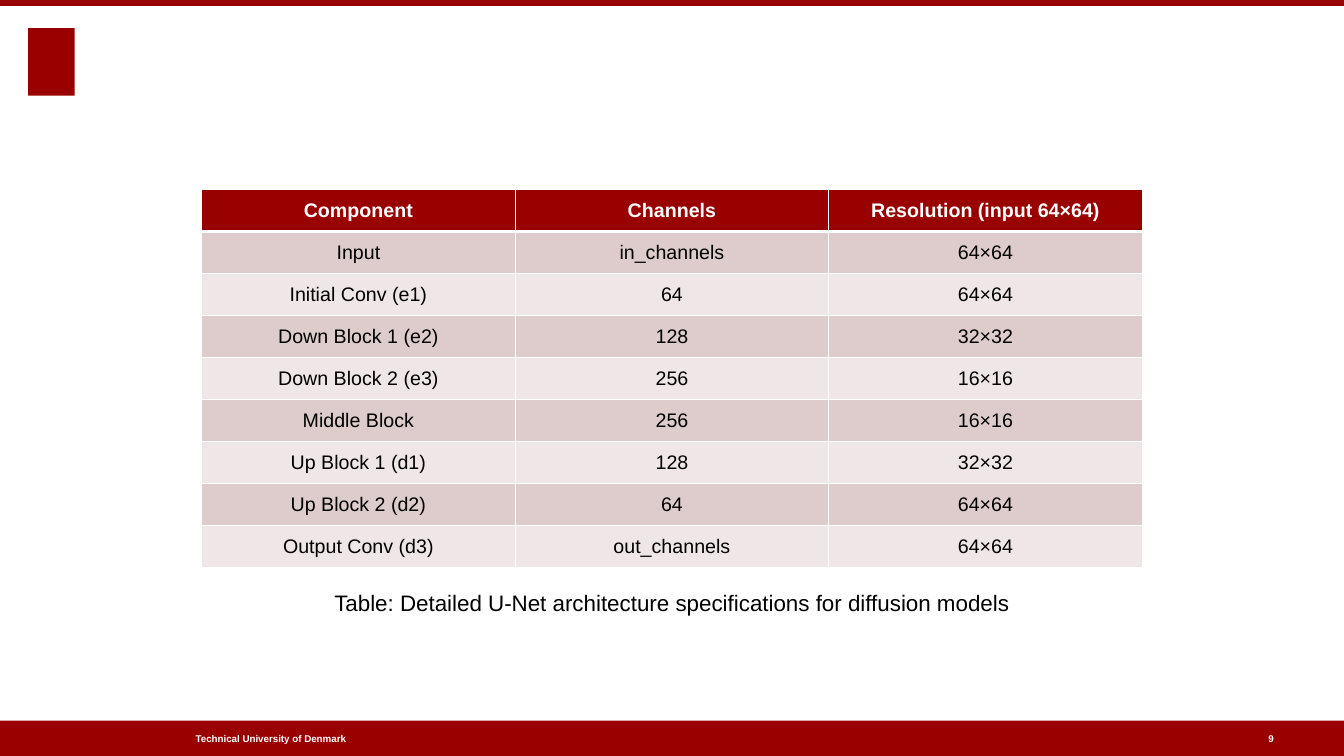
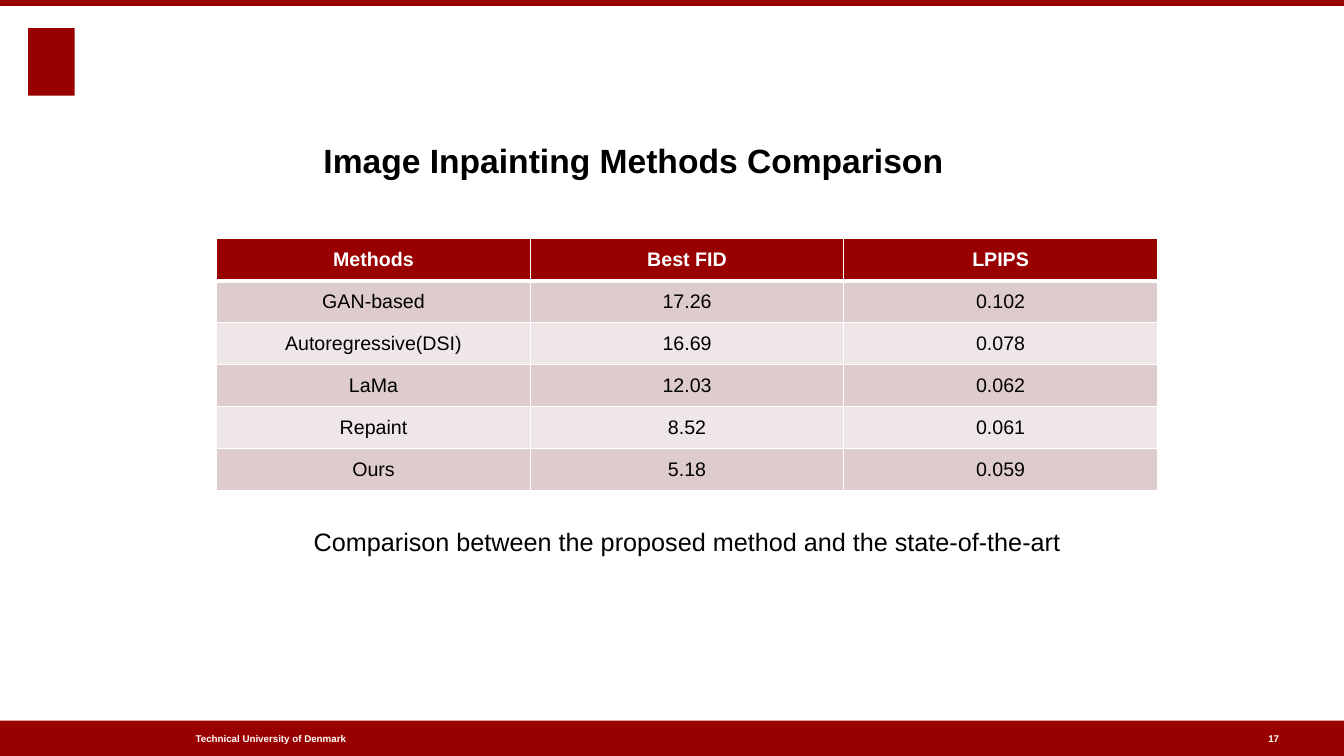
from lxml import etree
from pptx import Presentation
from pptx.dml.color import RGBColor
from pptx.enum.shapes import MSO_SHAPE
from pptx.enum.text import MSO_ANCHOR, MSO_AUTO_SIZE, PP_ALIGN
from pptx.oxml.ns import qn
from pptx.util import Inches, Pt

RECT = MSO_SHAPE.RECTANGLE
TOP, MIDDLE = MSO_ANCHOR.TOP, MSO_ANCHOR.MIDDLE
LEFT, CENTER = PP_ALIGN.LEFT, PP_ALIGN.CENTER
GROW = MSO_AUTO_SIZE.SHAPE_TO_FIT_TEXT

RED, WHITE, BLACK = "990000", "FFFFFF", "000000"
BANDS = ["DECCCC", "EFE7E7"]
FONT = "Arial"
WIDE, HIGH = 13.33, 7.5
FOOT = 0.35
FOOT_TOP = HIGH - FOOT
COL = 3.11
ROW = 1.25 / 3

BLOCKS = [
    (RECT, 0, FOOT_TOP, WIDE, FOOT),
    (RECT, 0, 0, WIDE, 0.06),
    (RECT, 0.28, 0.28, 0.46, 0.67),
]

SLIDES = [
    {
        "page": "9",
        "table": (2, 1.88),
        "rows": [
            ["Component", "Channels", "Resolution (input 64×64)"],
            ["Input", "in_channels", "64×64"],
            ["Initial Conv (e1)", "64", "64×64"],
            ["Down Block 1 (e2)", "128", "32×32"],
            ["Down Block 2 (e3)", "256", "16×16"],
            ["Middle Block", "256", "16×16"],
            ["Up Block 1 (d1)", "128", "32×32"],
            ["Up Block 2 (d2)", "64", "64×64"],
            ["Output Conv (d3)", "out_channels", "64×64"],
        ],
        "texts": [
            ("Table: Detailed U-Net architecture specifications for diffusion models",
             (3.18, 5.8, 6.97, 0.37), 16, False, CENTER),
        ],
    },
    {
        "page": "17",
        "table": (2.15, 2.37),
        "rows": [
            ["Methods", "Best FID", "LPIPS"],
            ["GAN-based", "17.26", "0.102"],
            ["Autoregressive(DSI)", "16.69", "0.078"],
            ["LaMa", "12.03", "0.062"],
            ["Repaint", "8.52", "0.061"],
            ["Ours", "5.18", "0.059"],
        ],
        "texts": [
            ("Comparison between the proposed method and the state-of-the-art",
             (2.93, 5.17, 7.77, 0.4), 18, False, CENTER),
            ("Image Inpainting Methods Comparison",
             (3.11, 1.34, 7.12, 0.5), 24, True, LEFT),
        ],
    },
]


def paint(fill, color):
    fill.solid()
    fill.fore_color.rgb = RGBColor.from_string(color)


def write(frame, text, size, color, bold, align, anchor):
    frame.text = text
    frame.word_wrap = True
    frame.vertical_anchor = anchor
    para = frame.paragraphs[0]
    para.alignment = align
    font = para.runs[0].font
    font.name, font.size, font.bold = FONT, Pt(size), bold
    font.color.rgb = RGBColor.from_string(color)


deck = Presentation()
deck.slide_width, deck.slide_height = Inches(WIDE), Inches(HIGH)

for data in SLIDES:
    slide = deck.slides.add_slide(deck.slide_layouts[6])
    paint(slide.background.fill, WHITE)

    for kind, *place in BLOCKS:
        block = slide.shapes.add_shape(kind, *map(Inches, place))
        block.shadow.inherit = False
        paint(block.fill, RED)
        block.line.fill.background()

    for text, left, width in [
        ("Technical University of Denmark", 1.94, 3.72),
        (data["page"], 12.58, 0.47),
    ]:
        box = slide.shapes.add_textbox(
            Inches(left), Inches(FOOT_TOP), Inches(width), Inches(FOOT))
        frame = box.text_frame
        frame.margin_left = frame.margin_right = 0
        frame.margin_top = frame.margin_bottom = 0
        write(frame, text, 7, WHITE, True, LEFT, MIDDLE)

    rows = data["rows"]
    left, top = data["table"]
    table = slide.shapes.add_table(
        len(rows), 3, Inches(left), Inches(top),
        Inches(3 * COL), Inches(len(rows) * ROW)).table
    for col in table.columns:
        col.width = Inches(COL)
    for i, row in enumerate(rows):
        table.rows[i].height = Inches(ROW)
        head = i == 0
        edges = {"L": 1, "R": 1, "T": 3 if i == 1 else 1, "B": 3 if head else 1}
        for j, text in enumerate(row):
            cell = table.cell(i, j)
            props = cell._tc.get_or_add_tcPr()
            for side, size in edges.items():
                line = etree.SubElement(props, qn("a:ln" + side), w=str(Pt(size)))
                solid = etree.SubElement(line, qn("a:solidFill"))
                etree.SubElement(solid, qn("a:srgbClr"), val=WHITE)
            paint(cell.fill, RED if head else BANDS[(i - 1) % 2])
            write(cell.text_frame, text, 14, WHITE if head else BLACK, head, CENTER, MIDDLE)
            cell.vertical_anchor = MIDDLE

    for text, place, size, bold, align in data["texts"]:
        box = slide.shapes.add_textbox(*map(Inches, place))
        write(box.text_frame, text, size, BLACK, bold, align, TOP)
        box.text_frame.auto_size = GROW

deck.save("out.pptx")
